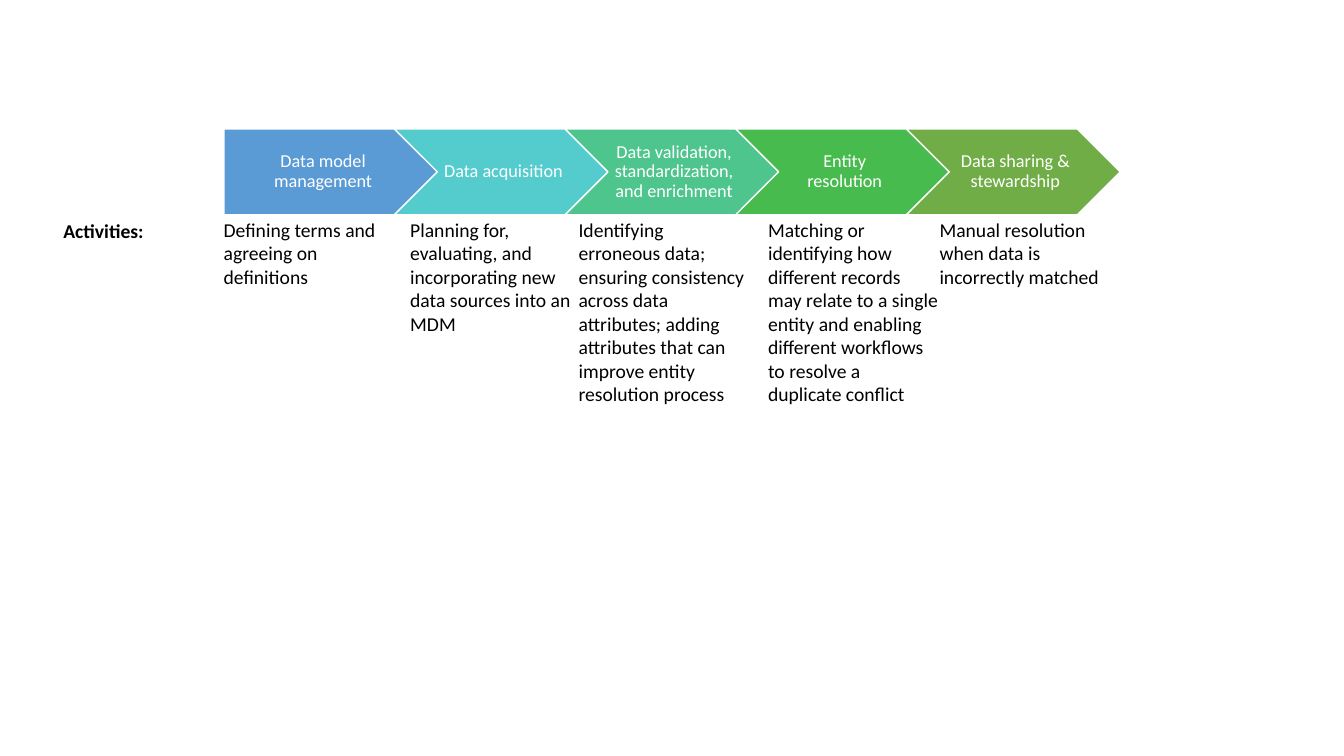
from pptx import Presentation
from pptx.dml.color import RGBColor
from pptx.enum import shapes, text
from pptx.util import Inches, Pt

WHITE = RGBColor(0xFF, 0xFF, 0xFF)
BLACK = RGBColor(0x00, 0x00, 0x00)
BLUE = RGBColor(0x5B, 0x9B, 0xD5)
TEAL = RGBColor(0x54, 0xCC, 0xCD)
MINT = RGBColor(0x4D, 0xC5, 0x8D)
GREEN = RGBColor(0x48, 0xBB, 0x4F)
OLIVE = RGBColor(0x70, 0xAD, 0x47)

FONT = "Calibri"
STEP_LEFT, LAST_STEP_LEFT, STEP_TOP = 2.22, 8.99, 1.28
STEP_WIDTH, STEP_HEIGHT = 2.12, 0.85
ACTIVITY_TOP = 2.11
ACTIVITY_WIDTH = 3.77 / 2  # two columns span 3.77 inches

# Step name, colour, left edge of the activity, activity, activity height
STEPS = [
    ("Data model management", BLUE, 2.12,
     "Defining terms and agreeing on definitions", 0.81),
    ("Data acquisition", TEAL, 3.97,
     "Planning for, evaluating, and incorporating new data sources "
     "into an MDM", 1.28),
    ("Data validation, standardization, and enrichment", MINT, 5.64,
     "Identifying erroneous data; ensuring consistency across data "
     "attributes; adding attributes that can improve entity resolution "
     "process", 1.99),
    ("Entity resolution", GREEN, 7.52,
     "Matching or identifying how different records may relate to a single "
     "entity and enabling different workflows to resolve a duplicate "
     "conflict", 1.99),
    ("Data sharing & stewardship", OLIVE, 9.22,
     "Manual resolution when data is incorrectly matched", 0.81),
]
STEP_PITCH = (LAST_STEP_LEFT - STEP_LEFT) / (len(STEPS) - 1)


def add_run(p, words, size, color, bold=False):
    r = p.add_run()
    r.text = words
    r.font.name = FONT
    r.font.size = Pt(size)
    r.font.bold = bold
    r.font.color.rgb = color


def add_step(slide, index, name, color):
    first = index == 0
    kind = shapes.MSO_SHAPE.PENTAGON if first else shapes.MSO_SHAPE.CHEVRON
    sp = slide.shapes.add_shape(
        kind, Inches(STEP_LEFT + index * STEP_PITCH), Inches(STEP_TOP),
        Inches(STEP_WIDTH), Inches(STEP_HEIGHT))
    sp.name = f"Step {index + 1}"
    sp.shadow.inherit = False
    sp.fill.solid()
    sp.fill.fore_color.rgb = color
    sp.line.color.rgb = WHITE
    sp.line.width = Pt(1)

    tf = sp.text_frame
    tf.word_wrap = True
    tf.vertical_anchor = text.MSO_ANCHOR.MIDDLE
    tf.margin_left = Inches(0.08 if first else 0.06)
    tf.margin_right = Inches(0.02)
    tf.margin_top = tf.margin_bottom = Inches(0.04)
    p = tf.paragraphs[0]
    p.alignment = text.PP_ALIGN.CENTER
    p.line_spacing = 0.9
    add_run(p, name, 13, WHITE)


def add_text(slide, left, top, width, height, words, bold=False):
    sp = slide.shapes.add_textbox(
        Inches(left), Inches(top), Inches(width), Inches(height))
    tf = sp.text_frame
    tf.word_wrap = True
    tf.auto_size = text.MSO_AUTO_SIZE.SHAPE_TO_FIT_TEXT
    add_run(tf.paragraphs[0], words, 14, BLACK, bold)


def main():
    prs = Presentation()
    prs.slide_width, prs.slide_height = Inches(13.33), Inches(7.5)
    slide = prs.slides.add_slide(prs.slide_layouts[6])

    # Process arrows
    for i, (name, color, *_) in enumerate(STEPS):
        add_step(slide, i, name, color)

    # Row label and activities under the arrows
    add_text(slide, 0.53, 2.12, 1.78, 0.34, "Activities:", bold=True)
    for _, _, left, activity, height in STEPS:
        add_text(slide, left, ACTIVITY_TOP, ACTIVITY_WIDTH, height, activity)

    prs.save("out.pptx")


if __name__ == "__main__":
    main()
